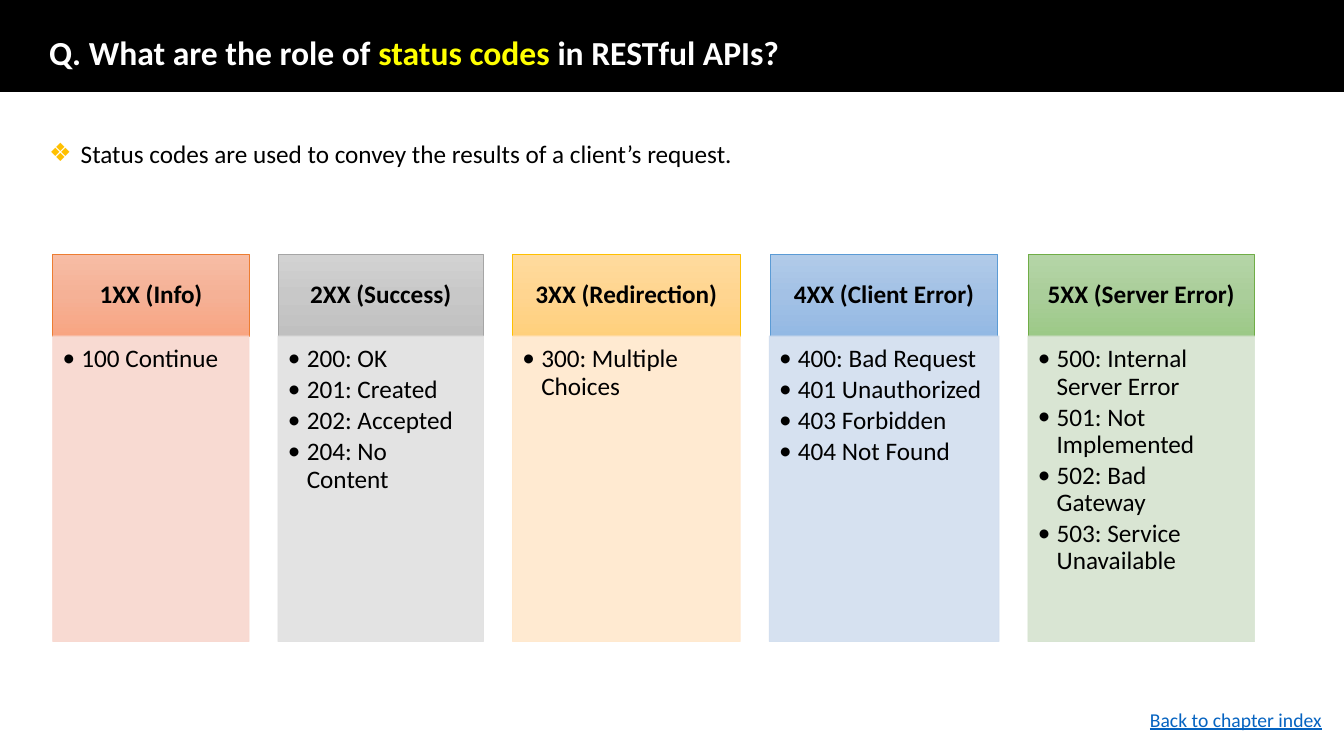
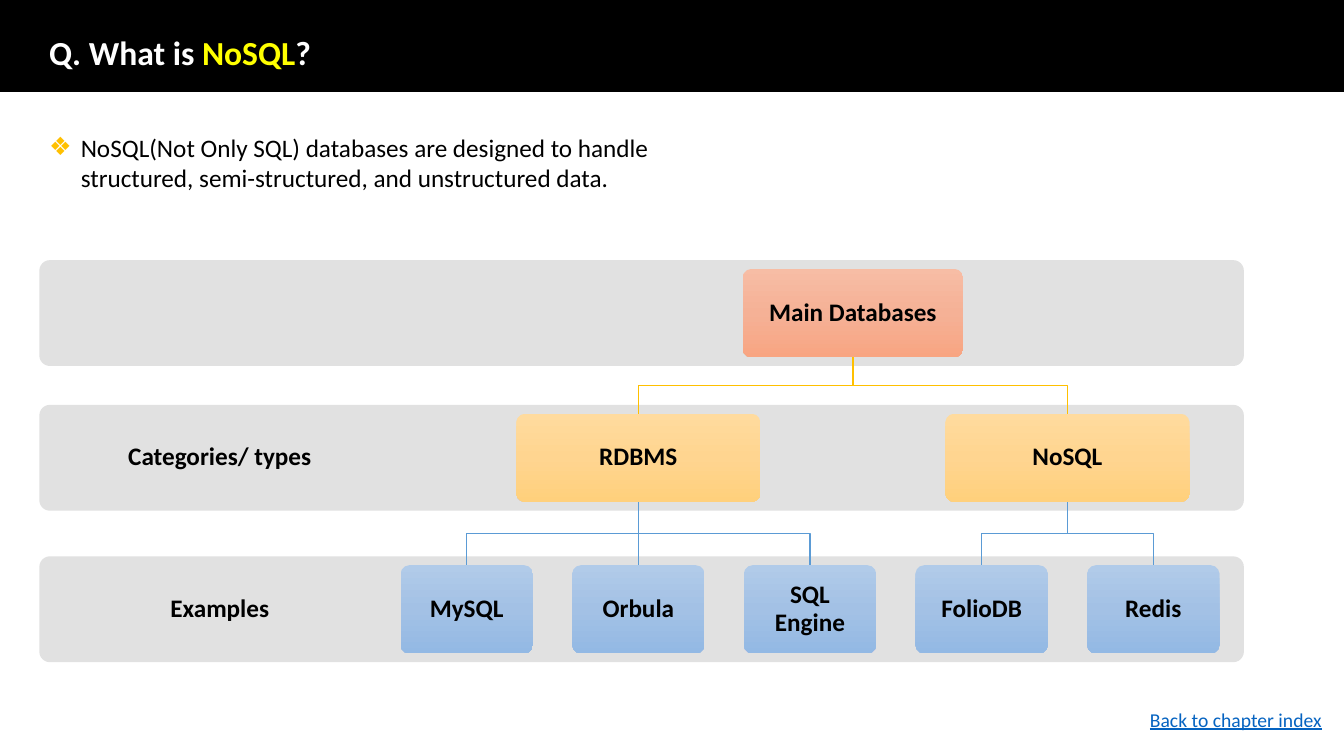
from copy import deepcopy
from dataclasses import dataclass

from lxml.etree import SubElement
from pptx import Presentation
from pptx.dml.color import RGBColor as RGB
from pptx.enum.shapes import MSO_CONNECTOR as LINK, MSO_SHAPE as KIND
from pptx.enum.text import MSO_ANCHOR as ANCHOR, PP_ALIGN as ALIGN
from pptx.oxml.ns import qn
from pptx.util import Pt

WIDE, HIGH = 960, 540
LEFT = 28.1
FONT = "Calibri"
HEX = {
    "black": "000000", "white": "FFFFFF", "mark": "FFFF00",
    "gold": "FFC000", "link": "0563C1", "band": "E1E1E1",
}


@dataclass(frozen=True)
class Tone:
    """Gradient stops, outline and pale body fill of one hue."""
    stops: tuple[str, str, str]
    edge: str
    pale: str


TONES = {
    "red": Tone(("F7BDA5", "F5B196", "F8A582"), "ED7D31", "F8D7CE"),
    "gray": Tone(("D2D2D2", "C8C8C8", "C0C0C0"), "A5A5A5", "E1E1E1"),
    "gold": Tone(("FFDB9E", "FFD590", "FFD07C"), "FFC000", "FFE8CC"),
    "blue": Tone(("B1CBE9", "A3C1E5", "93B9E4"), "5B9BD5", "D2DEEF"),
    "green": Tone(("B5D5A7", "AACE9A", "9CC987"), "70AD47", "D5E3CF"),
}


@dataclass(frozen=True)
class Run:
    text: str
    color: str = "black"
    size: float = 18
    bold: bool = False
    line: bool = False


@dataclass(frozen=True)
class Box:
    x: float
    y: float
    w: float
    h: float

    @property
    def mid(self) -> float:
        return self.x + self.w / 2

    @property
    def end(self) -> float:
        return self.y + self.h

    def pts(self) -> list:
        return [Pt(v) for v in (self.x, self.y, self.w, self.h)]


@dataclass(frozen=True)
class Group:
    """One column of status codes."""
    name: str
    tone: str
    width: float
    codes: tuple[str, ...]
    inset: float = 0


@dataclass(frozen=True)
class Node:
    name: str
    kids: tuple["Node", ...] = ()


GROUPS = (
    Group("1XX (Info)", "red", 140.4, ("100 Continue",)),
    Group("2XX (Success)", "gray", 146.9,
          ("200: OK", "201: Created", "202: Accepted", "204: No Content")),
    Group("3XX (Redirection)", "gold", 162.7, ("300: Multiple Choices",)),
    Group("4XX (Client Error)", "blue", 164.2,
          ("400: Bad Request", "401 Unauthorized", "403 Forbidden", "404 Not Found"), 1),
    Group("5XX (Server Error)", "green", 162,
          ("500: Internal Server Error", "501: Not Implemented",
           "502: Bad Gateway", "503: Service Unavailable")),
)

TREE = Node("Main Databases", (
    Node("RDBMS", (Node("MySQL"), Node("Orbula"), Node("SQL Engine"))),
    Node("NoSQL", (Node("FolioDB"), Node("Redis"))),
))

# Tree levels from top to bottom: band label, band top, node width, tone
LEVELS = (
    ("", 185.8, 157.7, "red"),
    ("Categories/ types", 289.2, 174.4, "gold"),
    ("Examples", 397.4, 94.6, "blue"),
)
BAND = 75.6
NODE = 63
FIRST, PITCH = 333.4, 122.6


# Text
def setup(frame, pad=(7.2, 3.6, 7.2, 3.6), anchor=ANCHOR.TOP) -> None:
    frame.word_wrap = True
    frame.vertical_anchor = anchor
    (frame.margin_left, frame.margin_top,
     frame.margin_right, frame.margin_bottom) = map(Pt, pad)


def write(para, runs: list[Run], align=ALIGN.LEFT, space: float = 0.9) -> None:
    para.alignment = align
    para.line_spacing = space
    for item in runs:
        run = para.add_run()
        run.text = item.text
        font = run.font
        font.name, font.size, font.bold = FONT, Pt(item.size), item.bold
        font.underline = item.line
        font.color.rgb = RGB.from_string(HEX[item.color])


def bullet(para, mark: str, hang: float, color: str = "black") -> None:
    props = para._p.get_or_add_pPr()
    props.set("marL", str(Pt(hang)))
    props.set("indent", str(Pt(-hang)))
    tint = SubElement(props, qn("a:buClr"))
    SubElement(tint, qn("a:srgbClr")).set("val", HEX[color])
    SubElement(props, qn("a:buFont")).set("typeface", FONT)
    SubElement(props, qn("a:buChar")).set("char", mark)


def note(slide, box: Box, anchor=ANCHOR.TOP):
    frame = slide.shapes.add_textbox(*box.pts()).text_frame
    setup(frame, anchor=anchor)
    return frame.paragraphs[0]


def label(frame, text: str, pad: tuple) -> None:
    setup(frame, pad, ANCHOR.MIDDLE)
    write(frame.paragraphs[0], [Run(text, bold=True)], ALIGN.CENTER)


# Shapes
def shape(slide, box: Box, fill: str = "", edge: str = "", width: float = 0.5,
          kind=KIND.RECTANGLE):
    item = slide.shapes.add_shape(kind, *box.pts())
    item.shadow.inherit = False
    if kind == KIND.ROUNDED_RECTANGLE:
        item.adjustments[0] = 0.1
    if fill:
        item.fill.solid()
        item.fill.fore_color.rgb = RGB.from_string(fill)
    if edge:
        item.line.color.rgb = RGB.from_string(edge)
        item.line.width = Pt(width)
    else:
        item.line.fill.background()
    return item


def shade(item, tone: Tone) -> None:
    item.fill.gradient()
    item.fill.gradient_angle = 270
    stops = item._element.spPr.find(qn("a:gradFill")).find(qn("a:gsLst"))
    stops.insert(1, deepcopy(stops[0]))
    for stop, color, spot in zip(item.fill.gradient_stops, tone.stops, (0, 0.5, 1)):
        stop.color.rgb = RGB.from_string(color)
        stop.position = spot


def fade(item, share: int) -> None:
    for color in item._element.spPr.iter(qn("a:srgbClr")):
        SubElement(color, qn("a:alpha")).set("val", str(share * 1000))


def join(slide, top: Box, low: Box, color: str) -> None:
    x1, y1, x2, y2 = (Pt(v) for v in (top.mid, top.end, low.mid, low.y))
    if abs(x1 - x2) < Pt(1):
        item = slide.shapes.add_connector(LINK.STRAIGHT, x1, y1, x2, y2)
        SubElement(item._element.spPr, qn("a:effectLst"))
    else:
        half = (y1 + y2) // 2
        draft = slide.shapes.build_freeform(x1, y1)
        draft.add_line_segments([(x1, half), (x2, half), (x2, y2)], close=False)
        item = draft.convert_to_shape()
        item.fill.background()
        item.shadow.inherit = False
    item.line.color.rgb = RGB.from_string(color)
    item.line.width = Pt(1)


# Shared frame: title band, lead bullet, footer
def page(deck, title: tuple[str, str, str], lead: str, top: float, width: float):
    slide = deck.slides.add_slide(deck.slide_layouts[6])
    shape(slide, Box(0, 0, WIDE, 65.5), HEX["black"], HEX["black"], 1)
    head = note(slide, Box(LEFT, 25.6, 839.5, 26.6), ANCHOR.MIDDLE)
    write(head, [Run(text, color, 24, True)
                 for text, color in zip(title, ("white", "mark", "white"))])
    para = note(slide, Box(LEFT, top, width, 51))
    bullet(para, "❖", 22.5, "gold")
    write(para, [Run(lead)], space=1)
    foot = note(slide, Box(814.3, 501.8, 145, 24.5))
    write(foot, [Run("Back to chapter index", "link", 14, line=True)], space=1)
    return slide


# Slide 1: columns of codes
def column(slide, group: Group, x: float) -> None:
    tone = TONES[group.tone]
    top = Box(x + group.inset, 181.6, group.width - 2 * group.inset, 58.4)
    head = shape(slide, top, edge=tone.edge)
    shade(head, tone)
    label(head.text_frame, group.name, (10, 5.8, 10, 5.8))
    body = shape(slide, Box(x, top.end, group.width, 218.2), tone.pale, tone.pale)
    fade(body, 90)
    frame = body.text_frame
    setup(frame, (7.2, 7.2, 10, 11.5))
    for i, code in enumerate(group.codes):
        para = frame.add_paragraph() if i else frame.paragraphs[0]
        bullet(para, "•", 13.5)
        write(para, [Run(code)])
        para.space_after = Pt(2.7)


def codes(deck) -> None:
    slide = page(deck, ("Q. What are the role of ", "status codes", " in RESTful APIs?"),
                 "Status codes are used to convey the results of a client’s request.",
                 95, 535)
    x = 37.6
    for group in GROUPS:
        column(slide, group, x)
        x += group.width + 20.6


# Slide 2: tree of databases
def grow(slide, node: Node, depth: int, slot: int) -> tuple[Box, int]:
    """Draw a node and all below it; return its box and the next free slot."""
    _, top, width, hue = LEVELS[depth]
    kids = []
    mid = FIRST + slot * PITCH
    if node.kids:
        for kid in node.kids:
            box, slot = grow(slide, kid, depth + 1, slot)
            kids.append(box)
        mid = (kids[0].mid + kids[-1].mid) / 2
    else:
        slot += 1
    own = Box(mid - width / 2, top + (BAND - NODE) / 2, width, NODE)
    for box in kids:
        join(slide, own, box, TONES[LEVELS[depth + 1][3]].edge)
    item = shape(slide, own, kind=KIND.ROUNDED_RECTANGLE)
    shade(item, TONES[hue])
    label(item.text_frame, node.name, (7, 7, 7, 7))
    return own, slot


def tree(deck) -> None:
    slide = page(deck, ("Q. What is ", "NoSQL", "?"),
                 "NoSQL(Not Only SQL) databases are designed to handle "
                 "structured, semi-structured, and unstructured data.", 90.7, 464.4)
    for name, top, _, _ in LEVELS:
        shape(slide, Box(LEFT, top, 860.4, BAND), HEX["band"],
              kind=KIND.ROUNDED_RECTANGLE)
        if name:
            box = Box(LEFT, top, 257.8, BAND)
            label(slide.shapes.add_textbox(*box.pts()).text_frame, name, (10, 10, 10, 10))
    grow(slide, TREE, 0, 0)


def main() -> None:
    deck = Presentation()
    deck.slide_width, deck.slide_height = Pt(WIDE), Pt(HIGH)
    codes(deck)
    tree(deck)
    deck.save("out.pptx")


if __name__ == "__main__":
    main()
